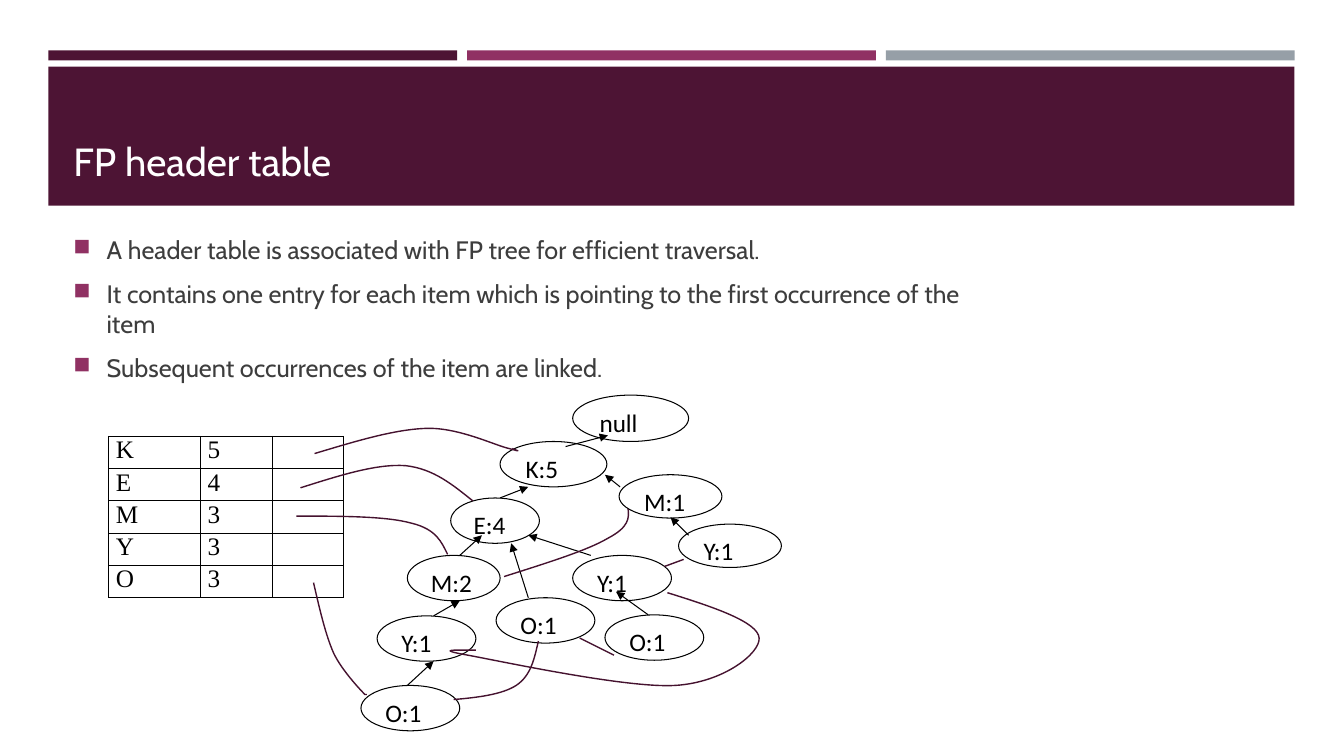
import pptx
import pptx.dml.color
import pptx.enum.shapes
import pptx.enum.text
import pptx.oxml.ns
import pptx.util
from lxml import etree

Inches = pptx.util.Inches
Pt = pptx.util.Pt
qn = pptx.oxml.ns.qn
SHAPE = pptx.enum.shapes.MSO_SHAPE
ANCHOR = pptx.enum.text.MSO_ANCHOR

PLUM, MAGENTA, GREY = "4D1434", "903163", "969FA7"
LINK, BLACK, WHITE, BODY = "45122F", "000000", "FFFFFF", "3D3D3D"

BULLETS = [
    "A header table is associated with FP tree for efficient traversal.",
    "It contains one entry for each item which is pointing to the first occurrence of the item",
    "Subsequent occurrences of the item are linked.",
]
HEADER_ROWS = [("K", "5", ""), ("E", "4", ""), ("M", "3", ""), ("Y", "3", ""), ("O", "3", "")]

# Tree coordinates are inches from the corner of the tree's box.
NODES = [  # text, left, top, width, height
    ("M:1", 4.14, 1.71, 1.02, 0.43), ("Y:1", 4.73, 2.2, 1.02, 0.43),
    ("null", 3.68, 0.92, 1.15, 0.46), ("K:5", 2.96, 1.38, 1.06, 0.45),
    ("E:4", 2.47, 1.94, 0.88, 0.45), ("M:2", 2.04, 2.51, 0.92, 0.45),
    ("Y:1", 1.74, 3.11, 0.98, 0.45), ("O:1", 1.58, 3.8, 0.98, 0.45),
    ("Y:1", 3.68, 2.51, 0.98, 0.45), ("O:1", 4, 3.1, 0.98, 0.45),
    ("O:1", 2.92, 2.93, 0.98, 0.45),
]
PARENT_ARROWS = [  # from child to parent
    (4.83, 2.31, 4.65, 2.13), (4.15, 1.83, 4, 1.71), (3.61, 1.43, 4.03, 1.32),
    (2.96, 1.94, 3.24, 1.83), (2.56, 2.51, 2.78, 2.31), (2.3, 3.11, 2.56, 2.96),
    (2.04, 3.8, 2.3, 3.56), (4.43, 3.1, 4.11, 2.87), (3.86, 2.51, 3.24, 2.31),
    (3.24, 2.93, 3.07, 2.39),
]
ITEM_LINKS = [  # start point, three Bézier points per piece, then any straight end
    [(1.12, 1.5), (1.52, 1.38), (1.91, 1.26), (2.23, 1.25), (2.55, 1.24), (2.91, 1.42),
     (3.05, 1.45), (3.19, 1.49), (3.13, 1.47), (3.08, 1.45)],
    [(0.98, 1.84), (1.36, 1.72), (1.73, 1.6), (2.02, 1.62), (2.3, 1.65), (2.49, 1.81), (2.69, 1.97)],
    [(0.94, 2.12), (1.38, 2.12), (1.83, 2.12), (2.08, 2.19), (2.33, 2.25), (2.38, 2.38), (2.44, 2.5)],
    [(3, 2.72), (3.41, 2.59), (3.83, 2.46), (4.03, 2.34), (4.24, 2.23), (4.24, 2.14), (4.23, 2.05)],
    [(2.72, 3.45), (2.51, 3.45), (2.31, 3.44), (2.64, 3.5), (2.97, 3.56), (4.22, 3.83), (4.7, 3.8),
     (5.18, 3.77), (5.54, 3.48), (5.53, 3.33), (5.52, 3.17), (5.07, 3.02), (4.62, 2.88)],
    [(4.59, 2.62), (4.78, 2.55)],
    [(1.11, 2.78), (1.17, 3.04), (1.23, 3.3), (1.31, 3.48), (1.4, 3.67), (1.62, 3.89), (1.62, 3.89),
     (1.64, 3.89)],
    [(2.5, 3.94), (2.74, 3.92), (2.98, 3.89), (3.12, 3.8), (3.27, 3.7), (3.3, 3.53), (3.34, 3.36)],
    [(3.75, 3.33), (4.09, 3.5)],
]


def color(value):
    return pptx.dml.color.RGBColor.from_string(value)


def add_element(parent, name, **attributes):
    return etree.SubElement(parent, qn(name), attributes)


def write(paragraph, text, *, size=18, font="Cabin", fill=BLACK, before=0, after=0):
    paragraph.alignment = pptx.enum.text.PP_ALIGN.LEFT
    paragraph.space_before, paragraph.space_after = Pt(before), Pt(after)
    run = paragraph.add_run()
    run.text = text
    run.font.size, run.font.name = Pt(size), font
    run.font.color.rgb = color(fill)


def set_line(shape, line, width):
    shape.line.color.rgb = color(line)
    shape.line.width = Pt(width)


def add_shape(shapes, kind, left, top, width, height, fill):
    shape = shapes.add_shape(kind, Inches(left), Inches(top), Inches(width), Inches(height))
    shape.shadow.inherit = False
    shape.fill.solid()
    shape.fill.fore_color.rgb = color(fill)
    shape.line.fill.background()
    return shape


def add_text_box(slide, left, top, width, height, anchor):
    frame = slide.shapes.add_textbox(Inches(left), Inches(top), Inches(width), Inches(height)).text_frame
    frame.word_wrap = True
    frame.vertical_anchor = anchor
    return frame


def add_arrow(shapes, start_x, start_y, end_x, end_y):
    connector = shapes.add_connector(
        pptx.enum.shapes.MSO_CONNECTOR.STRAIGHT,
        Inches(start_x), Inches(start_y), Inches(end_x), Inches(end_y))
    set_line(connector, BLACK, 0.75)
    add_element(connector.get_or_add_ln(), "a:tailEnd", type="triangle")
    add_element(connector.element.spPr, "a:effectLst")


def add_item_link(shapes, left, top, points):
    """Draw a link, turning each full set of three segments into one Bézier piece."""
    start, *others = [(Inches(left + x), Inches(top + y)) for x, y in points]
    builder = shapes.build_freeform(*start)
    builder.add_line_segments(others, close=False)
    link = builder.convert_to_shape()
    link.shadow.inherit = False
    link.fill.background()
    set_line(link, LINK, 1)
    segments = list(link.element.iter(qn("a:lnTo")))
    for first in range(0, len(segments) - 2, 3):
        piece = segments[first:first + 3]
        curve = etree.Element(qn("a:cubicBezTo"))
        piece[0].addprevious(curve)
        for segment in piece:
            curve.append(segment[0])
            segment.getparent().remove(segment)


def add_banner(slide, left, top, width):
    gap = 0.1
    strip = (width - 2 * gap) / 3
    for index, fill in enumerate((PLUM, MAGENTA, GREY)):
        add_shape(slide.shapes, SHAPE.RECTANGLE, left + index * (strip + gap), top, strip, 0.1, fill)
    add_shape(slide.shapes, SHAPE.RECTANGLE, left, top + 0.16, width, 1.38, PLUM)
    title = add_text_box(slide, left + 0.15, top + 0.3, width - 0.3, 1.08, ANCHOR.BOTTOM)
    write(title.paragraphs[0], "FP header table", size=28, fill=WHITE)


def add_bullets(slide, left, top, width, height):
    frame = add_text_box(slide, left, top, width, height, ANCHOR.TOP)
    for index, text in enumerate(BULLETS):
        paragraph = frame.add_paragraph() if index else frame.paragraphs[0]
        write(paragraph, text, fill=BODY, before=3.6, after=6)
        properties = paragraph._p.get_or_add_pPr()
        properties.set("marL", str(Inches(0.33)))
        properties.set("indent", str(-Inches(0.33)))
        add_element(add_element(properties, "a:buClr"), "a:srgbClr", val=MAGENTA)
        add_element(properties, "a:buSzPct", val="92000")
        add_element(properties, "a:buChar", char="■")


def add_header_table(slide, left, top, width, height):
    table = slide.shapes.add_table(len(HEADER_ROWS), 3, Inches(left), Inches(top),
                                   Inches(width), Inches(height)).table
    table.first_row = table.horz_banding = False
    for column, column_width in zip(table.columns, (0.91, 0.71, 0.71)):
        column.width = Inches(column_width)
    for row_index, values in enumerate(HEADER_ROWS):
        for column_index, text in enumerate(values):
            cell = table.cell(row_index, column_index)
            cell.margin_left = cell.margin_right = Inches(0.07)
            cell.margin_top = cell.margin_bottom = 0
            if text:
                write(cell.text_frame.paragraphs[0], text, font="Times New Roman")
            properties = cell._tc.get_or_add_tcPr()
            for side in ("a:lnL", "a:lnR", "a:lnT", "a:lnB"):
                border = add_element(properties, side, w=str(Pt(1)))
                add_element(add_element(border, "a:solidFill"), "a:srgbClr", val=BLACK)
            cell.fill.background()


def add_tree(slide, left, top):
    group = slide.shapes.add_group_shape()
    for text, x, y, width, height in NODES:
        node = add_shape(group.shapes, SHAPE.OVAL, left + x, top + y, width, height, WHITE)
        set_line(node, BLACK, 0.75)
        node.text_frame.vertical_anchor = ANCHOR.TOP
        write(node.text_frame.paragraphs[0], text, font="Calibri", after=10)
    for x1, y1, x2, y2 in PARENT_ARROWS:
        add_arrow(group.shapes, left + x1, top + y1, left + x2, top + y2)
    for points in ITEM_LINKS:
        add_item_link(slide.shapes, left, top, points)


def main():
    presentation = pptx.Presentation()
    presentation.slide_width, presentation.slide_height = Inches(13.33), Inches(7.5)
    slide = presentation.slides.add_slide(presentation.slide_layouts[6])
    add_banner(slide, 0.48, 0.5, 12.36)
    add_bullets(slide, 0.63, 2.28, 9, 2.17)
    add_header_table(slide, 1.08, 4.33, 2.33, 1.6)
    add_tree(slide, 2, 3)
    presentation.save("out.pptx")


if __name__ == "__main__":
    main()
